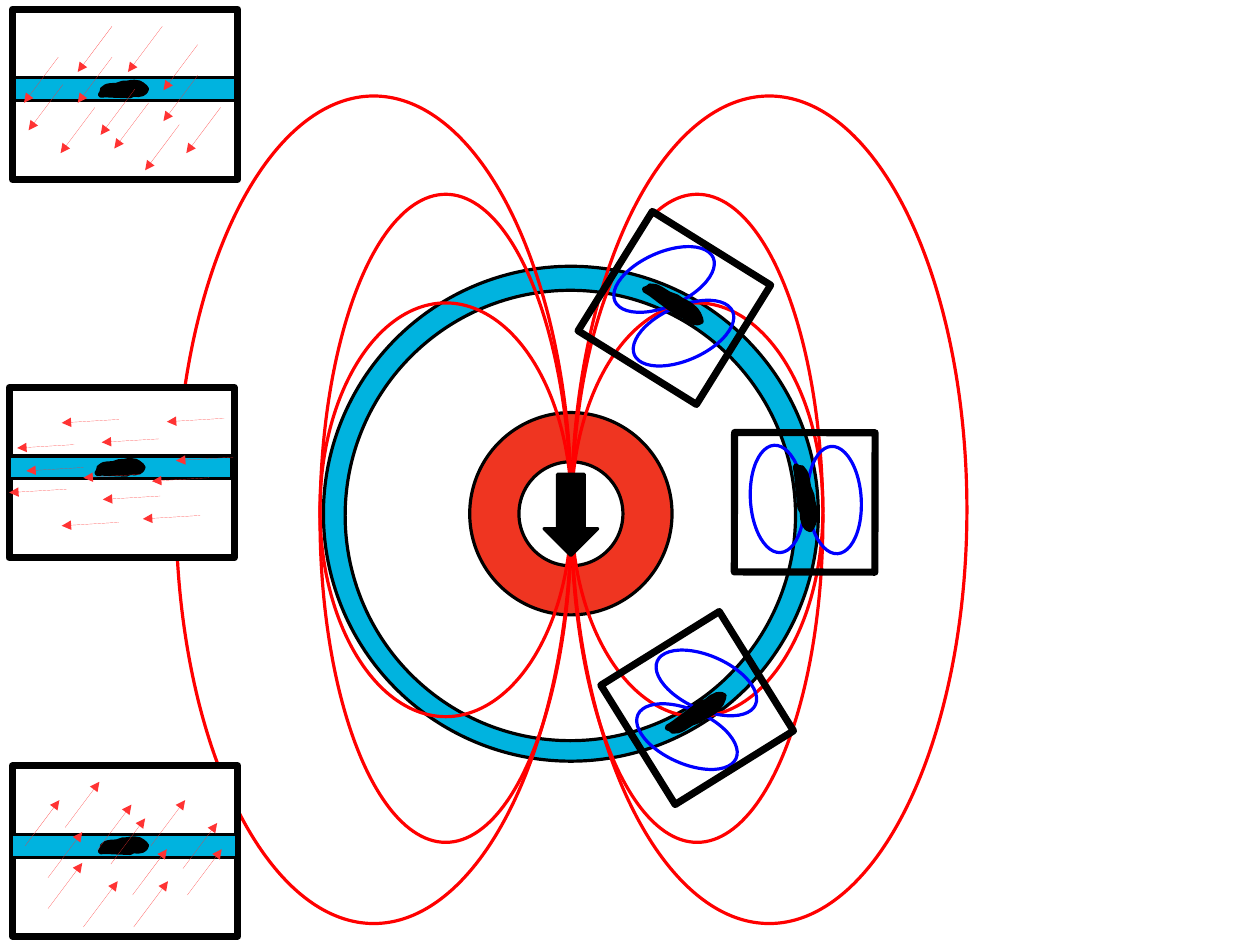
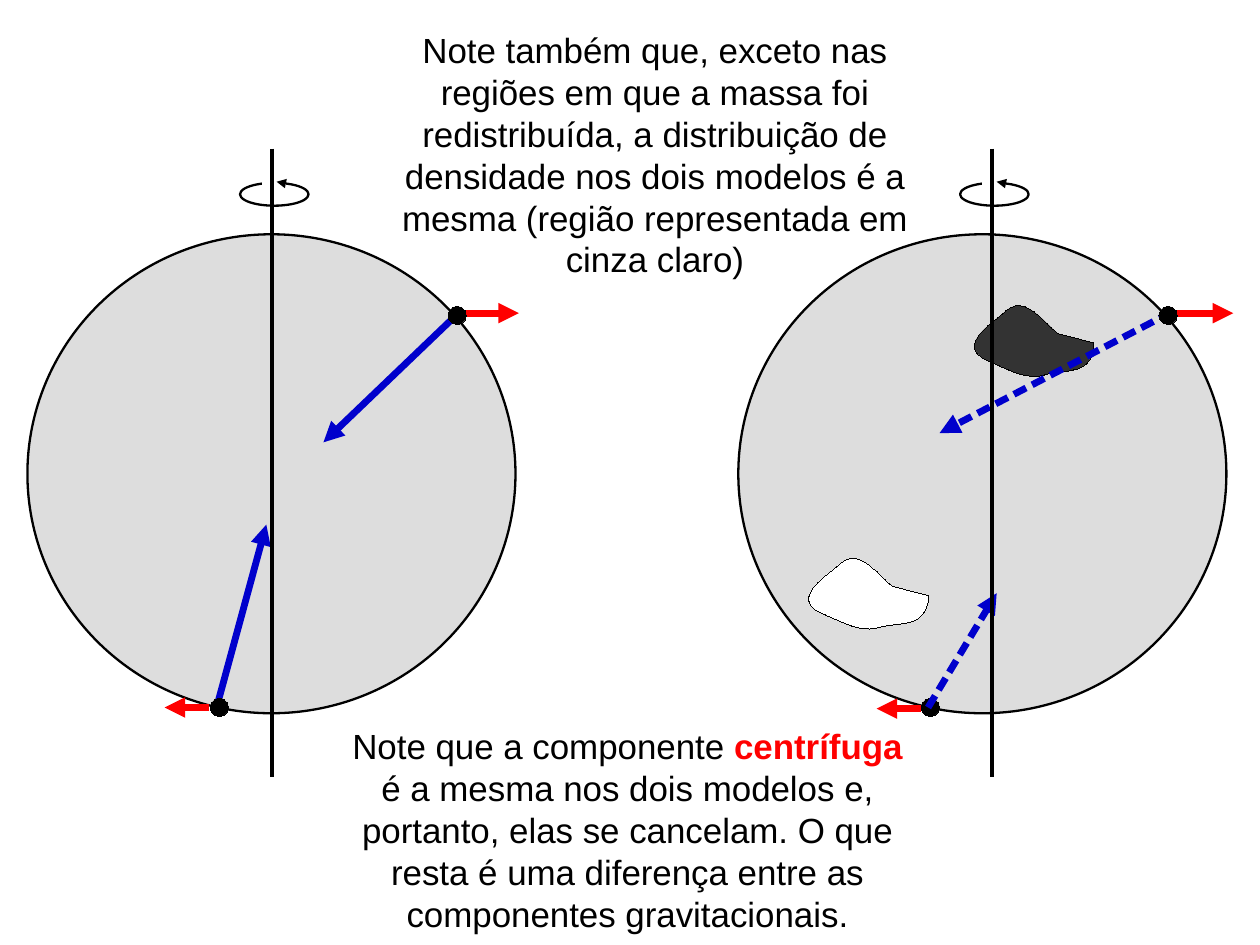
import math

import pptx
import pptx.dml.color
import pptx.enum.shapes
import pptx.enum.text
import pptx.oxml.ns
import pptx.util
from lxml import etree

Inches = pptx.util.Inches
SHAPE = pptx.enum.shapes.MSO_SHAPE

# Colours
BLACK, WHITE, RED, BLUE = "000000", "FFFFFF", "FF0000", "0000FF"
CRUST, CORE, FIELD = "00B3DF", "EF3521", "FF3333"
EARTH, GRAVITY, DENSE = "DDDDDD", "0000CC", "333333"

# Ore body outline, as fractions of its width and height from its centre
ORE = [(-.42, -.49), (-.25, -.46), (-.06, -.45), (.11, -.38), (.16, -.34),
       (.2, -.28), (.25, -.15), (.39, -.03), (.42, .07), (.48, .15),
       (.5, .22), (.48, .32), (.39, .39), (.25, .46), (.11, .5),
       (-.05, .48), (-.13, .46), (-.24, .41), (-.31, .32), (-.31, .22),
       (-.42, .15), (-.45, -.19), (-.46, -.36), (-.5, -.46)]

# Redistributed mass: start point, then Bezier curves (two controls and an end)
MASS_START = (.74, .24)
MASS_CURVES = [((.62, .15), (.45, -.11), (.28, .04)),
               ((.18, .14), (-.2, .35), (.15, .49)),
               ((.3, .55), (.46, .65), (.62, .6)),
               ((.78, .55), (1, .61), (1.05, .38))]
MASS_CORNER = (1.05, .32)


def rgb(hex_colour):
    return pptx.dml.color.RGBColor.from_string(hex_colour)


def add_xml(parent, tag, **attributes):
    return etree.SubElement(parent, pptx.oxml.ns.qn(tag), **attributes)


def set_line(item, colour, width):
    item.line.color.rgb = rgb(colour)
    ln = item.line._get_or_add_ln()
    # Written directly, because a width of 0 (hairline) is otherwise dropped
    ln.set("w", str(int(pptx.util.Pt(width))))
    return ln


def style(sp, fill, line_colour, width):
    sp.shadow.inherit = False
    if fill:
        sp.fill.solid()
        sp.fill.fore_color.rgb = rgb(fill)
    else:
        sp.fill.background()
    set_line(sp, line_colour, width)


def shape(s, kind, x, y, w, h, fill=None, edge=BLACK, width=2, rot=0):
    sp = s.shapes.add_shape(kind, Inches(x), Inches(y), Inches(w), Inches(h))
    style(sp, fill, edge, width)
    sp.rotation = rot


def circle(s, x, y, d, **look):
    shape(s, SHAPE.OVAL, x, y, d, d, **look)


def outline(s, points, fill, width):
    pts = [(Inches(x), Inches(y)) for x, y in points]
    builder = s.shapes.build_freeform(*pts[0])
    builder.add_line_segments(pts[1:], close=True)
    style(builder.convert_to_shape(), fill, BLACK, width)


def line(s, x1, y1, x2, y2, colour, width, arrow=True, dashed=False):
    c = s.shapes.add_connector(pptx.enum.shapes.MSO_CONNECTOR.STRAIGHT,
                               Inches(x1), Inches(y1), Inches(x2), Inches(y2))
    ln = set_line(c, colour, width)
    if dashed:
        add_xml(add_xml(ln, "a:custDash"), "a:ds", d="200000", sp="100000")
    if arrow:
        add_xml(ln, "a:tailEnd", type="triangle")
    add_xml(c._element.spPr, "a:effectLst")


def ore(s, cx, cy, w, h, deg, flip=1):
    cos, sin = math.cos(math.radians(deg)), math.sin(math.radians(deg))
    local = [(u * w, v * h * flip) for u, v in ORE]
    outline(s, [(cx + x * cos - y * sin, cy + x * sin + y * cos)
                for x, y in local], BLACK, 2)


# Slide 1: dipole field around the planet
def planet(s):
    circle(s, 2.83, 2.33, 4.33, fill=CRUST)
    circle(s, 3.02, 2.54, 3.94, fill=WHITE)
    circle(s, 4.11, 3.61, 1.77, fill=CORE)
    circle(s, 4.54, 4.04, .91, fill=WHITE)
    for top, w, h in [(1.7, 2.2, 5.67), (2.65, 2.2, 3.62), (.84, 3.46, 7.24)]:
        for x in (5, 5 - w):
            shape(s, SHAPE.OVAL, x, top, w, h, edge=RED)
    shape(s, SHAPE.DOWN_ARROW, 4.76, 4.15, .47, .71, fill=BLACK)


def anomaly(s, lobes, lobe_rot, body, body_rot, frame, frame_rot, flip=1):
    for x, y in lobes:
        shape(s, SHAPE.OVAL, x, y, .94, .47, edge=BLUE, rot=lobe_rot)
    ore(s, *body, .16, .59, body_rot, flip)
    shape(s, SHAPE.RECTANGLE, *frame, 1.22, 1.23, width=4.5, rot=frame_rot)


def panel(s, x, y, band_dx, band_w, step, starts, frame_last=False):
    """Framed close-up of the crust with field arrows."""
    def frame():
        shape(s, SHAPE.RECTANGLE, x, y, 1.97, 1.49, width=4.5,
              fill=None if frame_last else WHITE)

    def band():
        shape(s, SHAPE.RECTANGLE, x + band_dx, y + .6, band_w, .2, fill=CRUST)

    for draw in (band, frame) if frame_last else (frame, band):
        draw()
    ore(s, x + .97, y + .7, .15, .42, 274)
    for ax, ay in starts:
        line(s, ax, ay, ax + step[0], ay + step[1], FIELD, 0)


def field_slide(s):
    planet(s)
    anomaly(s, [(5.34, 2.21), (5.51, 2.68)], 336, (5.9, 2.65), 308,
            (5.29, 2.08), 31.9)
    panel(s, .11, .08, -.02, 1.97, (-.3, .4),
          [(.98, .23), (.98, .5), (.51, .5), (.55, .74), (.83, .94),
           (1.18, .78), (1.73, .39), (1.73, .66), (1.42, .23), (1.3, .9),
           (1.57, 1.09), (1.93, .94)], frame_last=True)
    anomaly(s, [(6.83, 4.14), (6.33, 4.13)], 86.7, (7.05, 4.35), 355.7,
            (6.43, 3.78), 90.1)
    anomaly(s, [(5.54, 6.21), (5.71, 5.74)], 24, (6.1, 6.25), 52,
            (5.49, 5.58), 328.1, flip=-1)
    panel(s, .08, 3.39, 0, 1.95, (-.5, .03),
          [(.65, 3.89), (1.04, 4.57), (.73, 4.09), (.58, 4.28), (1.04, 3.67),
           (1.39, 3.84), (2.04, 4), (1.83, 4.18), (1.96, 3.66), (1.23, 4.15),
           (1.4, 4.34), (1.75, 4.51)])
    panel(s, .11, 6.7, -.01, 1.97, (.3, -.4),
          [(1.17, 8.11), (1.16, 7.83), (1.64, 7.83), (1.6, 7.6), (1.32, 7.4),
           (.97, 7.56), (.42, 7.95), (.42, 7.68), (.73, 8.11), (.85, 7.44),
           (.57, 7.24), (.22, 7.4)])


# Slide 2: two rotating models
def mass(s, x, y, fill):
    points, start = [MASS_START], MASS_START
    for c1, c2, end in MASS_CURVES:
        for t in (i / 12 for i in range(1, 13)):
            weights = ((1 - t) ** 3, 3 * t * (1 - t) ** 2,
                       3 * t * t * (1 - t), t ** 3)
            points.append(tuple(
                sum(k * p[axis] for k, p in zip(weights, (start, c1, c2, end)))
                for axis in (0, 1)))
        start = end
    points.append(MASS_CORNER)
    outline(s, [(x + px, y + py) for px, py in points], fill, 0)


def dot(s, x, y):
    circle(s, x, y, .16, fill=BLACK, width=0)


def force(s, *ends, colour=RED, dashed=False):
    line(s, *ends, colour, 4.31, dashed=dashed)


def earth(s, x):
    shape(s, SHAPE.OVAL, x, 2.05, 4.27, 4.19, fill=EARTH, width=1.45)


def rotation_axis(s, x):
    shape(s, SHAPE.OVAL, x - .28, 1.6, .6, .2, width=1.45)
    shape(s, SHAPE.RECTANGLE, x - .08, 1.5, .2, .2, fill=WHITE, edge=WHITE,
          width=0)
    line(s, x, 1.3, x, 6.8, BLACK, 2.89, arrow=False)
    line(s, x + .14, 1.61, x + .04, 1.59, BLACK, 0)


def note(s, x, y, w, h, *parts):
    """Centred text; each part is (text, colour, bold)."""
    tf = s.shapes.add_textbox(Inches(x), Inches(y), Inches(w),
                              Inches(h)).text_frame
    tf.word_wrap = True
    tf.margin_left = tf.margin_right = Inches(.12)
    tf.margin_top = tf.margin_bottom = Inches(.07)
    p = tf.paragraphs[0]
    p.alignment = pptx.enum.text.PP_ALIGN.CENTER
    for text, colour, bold in parts:
        r = p.add_run()
        r.text = text
        r.font.name = "Arial"
        r.font.size = pptx.util.Pt(22)
        r.font.bold = bold
        r.font.color.rgb = rgb(colour)


def models_slide(s):
    # Uniform model
    force(s, 4.01, 2.74, 4.54, 2.74)
    earth(s, .24)
    force(s, 4.01, 2.74, 2.83, 3.87, colour=GRAVITY)
    force(s, 1.9, 6.17, 2.33, 4.59, colour=GRAVITY)
    dot(s, 1.84, 6.11)
    dot(s, 3.92, 2.68)
    force(s, 1.83, 6.19, 1.44, 6.19)

    # Model with redistributed mass
    force(s, 10.26, 2.74, 10.79, 2.74)
    earth(s, 6.46)
    dot(s, 8.06, 6.11)
    mass(s, 8.52, 2.68, DENSE)
    mass(s, 7.07, 4.89, WHITE)
    force(s, 8.12, 6.19, 8.72, 5.19, colour=GRAVITY, dashed=True)
    force(s, 10.25, 2.73, 8.22, 3.79, colour=GRAVITY, dashed=True)
    dot(s, 10.14, 2.68)
    force(s, 8.06, 6.2, 7.67, 6.2)

    for x in (2.38, 8.68):
        rotation_axis(s, x)

    # Notes
    note(s, 2.94, 6.27, 5.1, 1.85,
         ("Note que a componente ", BLACK, False),
         ("centrífuga", RED, True),
         (" é a mesma nos dois modelos e, portanto, elas se cancelam. O que "
          "resta é uma diferença entre as componentes gravitacionais.",
          BLACK, False))
    note(s, 3.18, .18, 5.1, 2.19,
         ("Note também que, exceto nas regiões em que a massa foi "
          "redistribuída, a distribuição de densidade nos dois modelos é a "
          "mesma (região representada em cinza claro)", BLACK, False))


def main():
    prs = pptx.Presentation()
    prs.slide_width = pptx.util.Cm(28)
    prs.slide_height = pptx.util.Cm(21)
    blank = prs.slide_layouts[6]
    field_slide(prs.slides.add_slide(blank))
    models_slide(prs.slides.add_slide(blank))
    prs.save("out.pptx")


if __name__ == "__main__":
    main()
